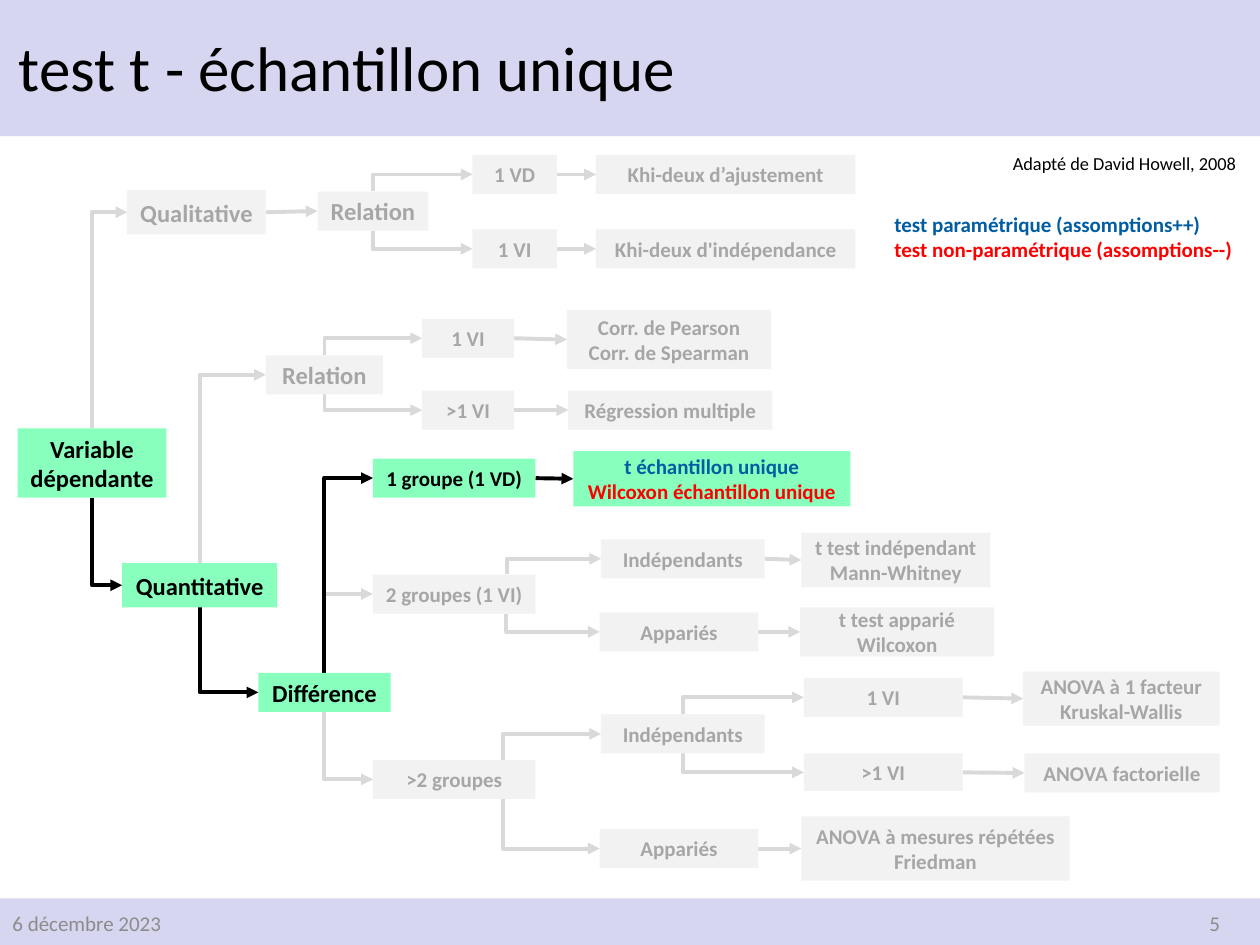
from collections import namedtuple

from lxml import etree
from pptx import Presentation
from pptx.dml.color import RGBColor
from pptx.enum import shapes, text
from pptx.oxml import ns
from pptx.util import Inches, Pt

LAVENDER = RGBColor(0xD6, 0xD6, 0xF0)
MINT = RGBColor(0x89, 0xFF, 0xBE)
PALE = RGBColor(0xF2, 0xF2, 0xF2)
FADED = RGBColor(0xA6, 0xA6, 0xA6)
BRANCH = RGBColor(0xD9, 0xD9, 0xD9)
FOOTER = RGBColor(0x8C, 0x8C, 0x8C)
BLACK = RGBColor(0, 0, 0)
BLUE = RGBColor(0x00, 0x5D, 0xA2)
RED = RGBColor(0xFF, 0, 0)

LEFT, CENTER, RIGHT = text.PP_ALIGN.LEFT, text.PP_ALIGN.CENTER, text.PP_ALIGN.RIGHT
MIDDLE, TOP = text.MSO_ANCHOR.MIDDLE, text.MSO_ANCHOR.TOP

Node = namedtuple("Node", "label x y w h size", defaults=[0.31, 12])

NODES = {
    "variable": Node("Variable dépendante", 0.14, 3.4, 1.18, 0.55, 14),
    "qualitative": Node("Qualitative", 1.01, 1.51, 1.1, 0.35, 14),
    "quantitative": Node("Quantitative", 0.97, 4.47, 1.23, 0.35, 14),
    "qual relation": Node("Relation", 2.52, 1.52, 0.88, 0.31, 14),
    "qual 1 VD": Node("1 VD", 3.75, 1.23, 0.67),
    "qual 1 VI": Node("1 VI", 3.75, 1.82, 0.67),
    "ajustement": Node("Khi-deux d’ajustement", 4.73, 1.23, 2.06),
    "indépendance": Node("Khi-deux d'indépendance", 4.73, 1.82, 2.06),
    "quant relation": Node("Relation", 2.11, 2.82, 0.93, 0.31, 14),
    "rel 1 VI": Node("1 VI", 3.35, 2.53, 0.73),
    "rel >1 VI": Node(">1 VI", 3.35, 3.1, 0.73),
    "corrélation": Node("Corr. de Pearson\vCorr. de Spearman", 4.5, 2.46, 1.62, 0.47),
    "régression": Node("Régression multiple", 4.51, 3.1, 1.62),
    "différence": Node("Différence", 2.05, 5.34, 1.05, 0.31, 14),
    "1 groupe": Node("1 groupe (1 VD)", 2.96, 3.64, 1.29),
    "2 groupes": Node("2 groupes (1 VI)", 2.96, 4.56, 1.29),
    ">2 groupes": Node(">2 groupes", 2.96, 6.03, 1.29),
    "t unique": Node("t échantillon unique\nWilcoxon échantillon unique", 4.55, 3.58, 2.2, 0.44),
    "2 indépendants": Node("Indépendants", 4.77, 4.28, 1.3),
    "2 appariés": Node("Appariés", 4.76, 4.86, 1.26),
    "t indépendant": Node("t test indépendant\vMann-Whitney", 6.36, 4.23, 1.5, 0.43),
    "t apparié": Node("t test apparié\vWilcoxon", 6.35, 4.82, 1.54, 0.39),
    ">2 indépendants": Node("Indépendants", 4.77, 5.67, 1.3),
    ">2 appariés": Node("Appariés", 4.76, 6.58, 1.26),
    "anova 1 VI": Node("1 VI", 6.38, 5.38, 1.26),
    "anova >1 VI": Node(">1 VI", 6.38, 5.98, 1.26, 0.3),
    "anova 1": Node("ANOVA à 1 facteur\vKruskal-Wallis", 8.12, 5.33, 1.56, 0.43),
    "anova factorielle": Node("ANOVA factorielle", 8.13, 5.98, 1.55),
    "anova répétée": Node("ANOVA à mesures répétées\vFriedman", 6.36, 6.48, 2.13, 0.51),
}

ACTIVE = {"variable", "quantitative", "différence", "1 groupe", "t unique"}

FORKS = {
    "variable": ("qualitative", "quantitative"),
    "qual relation": ("qual 1 VD", "qual 1 VI"),
    "quantitative": ("quant relation", "différence"),
    "quant relation": ("rel 1 VI", "rel >1 VI"),
    "différence": ("2 groupes", ">2 groupes", "1 groupe"),
    "2 groupes": ("2 indépendants", "2 appariés"),
    ">2 groupes": (">2 indépendants", ">2 appariés"),
    ">2 indépendants": ("anova 1 VI", "anova >1 VI"),
}
FORK_X = {"2 groupes": 4.02, ">2 groupes": 3.99}

STEPS = [
    ("qualitative", "qual relation"),
    ("qual 1 VD", "ajustement"),
    ("qual 1 VI", "indépendance"),
    ("rel 1 VI", "corrélation"),
    ("rel >1 VI", "régression"),
    ("1 groupe", "t unique"),
    ("2 indépendants", "t indépendant"),
    ("2 appariés", "t apparié"),
    ("anova 1 VI", "anova 1"),
    ("anova >1 VI", "anova factorielle"),
    (">2 appariés", "anova répétée"),
]


def write(frame, content, size, colors, bold=False, align=LEFT, anchor=MIDDLE):
    frame.text = content
    frame.word_wrap = True
    frame.vertical_anchor = anchor
    for paragraph, color in zip(frame.paragraphs, colors):
        paragraph.alignment = align
        for run in paragraph.runs:
            run.font.name = "Calibri"
            run.font.size = Pt(size)
            run.font.bold = bold
            run.font.color.rgb = color


def add_box(slide, x, y, w, h, fill):
    box = slide.shapes.add_shape(
        shapes.MSO_SHAPE.RECTANGLE, Inches(x), Inches(y), Inches(w), Inches(h))
    box.shadow.inherit = False
    box.fill.solid()
    box.fill.fore_color.rgb = fill
    box.line.fill.background()
    return box


def add_label(slide, x, y, w, h, content, size, colors, **style):
    label = slide.shapes.add_textbox(Inches(x), Inches(y), Inches(w), Inches(h))
    write(label.text_frame, content, size, colors, **style)
    return label


def add_node(slide, name):
    node = NODES[name]
    active = name in ACTIVE
    box = add_box(slide, node.x, node.y, node.w, node.h, MINT if active else PALE)
    if name == "t unique":
        colors = [BLUE, RED]
    else:
        colors = [BLACK if active else FADED]
    write(box.text_frame, node.label, node.size, colors, bold=True, align=CENTER)
    box.text_frame.margin_left = box.text_frame.margin_right = Inches(0.08)


def add_arrow(slide, kind, x1, y1, x2, y2, active):
    arrow = slide.shapes.add_connector(kind, Inches(x1), Inches(y1), Inches(x2), Inches(y2))
    arrow.line.color.rgb = BLACK if active else BRANCH
    arrow.line.width = Pt(2.25)
    etree.SubElement(arrow.line._get_or_add_ln(), ns.qn("a:tailEnd"), type="triangle")
    etree.SubElement(arrow._element.spPr, ns.qn("a:effectLst"))
    return arrow


def add_step(slide, source, target):
    start, end = NODES[source], NODES[target]
    add_arrow(slide, shapes.MSO_CONNECTOR.STRAIGHT, start.x + start.w, start.y + start.h / 2,
              end.x, end.y + end.h / 2, {source, target} <= ACTIVE)


def add_bend(slide, source, target):
    start, end = NODES[source], NODES[target]
    x1 = FORK_X.get(source, start.x + start.w / 2)
    y2 = end.y + end.h / 2
    upward = y2 < start.y
    y1 = start.y if upward else start.y + start.h
    run, rise = end.x - x1, abs(y2 - y1)
    left = (x1 + end.x - rise) / 2
    top = (y1 + y2 - run) / 2
    bend = add_arrow(slide, shapes.MSO_CONNECTOR.ELBOW, left, top, left + rise, top + run,
                     {source, target} <= ACTIVE)
    properties = bend._element.spPr
    properties.find(ns.qn("a:prstGeom")).set("prst", "bentConnector2")
    frame = properties.find(ns.qn("a:xfrm"))
    frame.set("rot", str((90 if upward else 270) * 60000))
    frame.set("flipH", "1")
    if upward:
        frame.set("flipV", "1")


def add_title(slide, content):
    title = slide.shapes.title
    title.left, title.top = Inches(0.05), Inches(0.07)
    title.width, title.height = Inches(8.59), Inches(0.99)
    write(title.text_frame, content, 36, [BLACK])
    title.text_frame.auto_size = text.MSO_AUTO_SIZE.NONE
    title.text_frame.paragraphs[0].line_spacing = 0.9
    slide.shapes._spTree.append(title._element)


def main():
    deck = Presentation()
    deck.slide_width, deck.slide_height = Inches(10), Inches(7.5)
    slide = deck.slides.add_slide(deck.slide_layouts[5])

    add_box(slide, 0, 0, 10, 1.08, LAVENDER)
    add_box(slide, 0, 7.13, 10, 0.37, LAVENDER)
    add_label(slide, 0, 7.13, 2.25, 0.4, "6 décembre 2023", 12, [FOOTER])
    add_label(slide, 7.53, 7.13, 2.25, 0.4, "5", 12, [FOOTER], align=RIGHT)

    for source, targets in FORKS.items():
        for target in targets:
            add_bend(slide, source, target)
    for source, target in STEPS:
        add_step(slide, source, target)
    for name in NODES:
        add_node(slide, name)

    credit = add_label(slide, 7.94, 1.16, 2.01, 0.28, "Adapté de David Howell, 2008", 10.5,
                       [BLACK], anchor=TOP)
    credit.text_frame.word_wrap = False
    add_label(slide, 7, 1.63, 2.92, 0.5,
              "test paramétrique (assomptions++)\ntest non-paramétrique (assomptions--)",
              12, [BLUE, RED], bold=True, anchor=TOP)
    add_title(slide, "test t - échantillon unique")
    deck.save("out.pptx")


if __name__ == "__main__":
    main()
